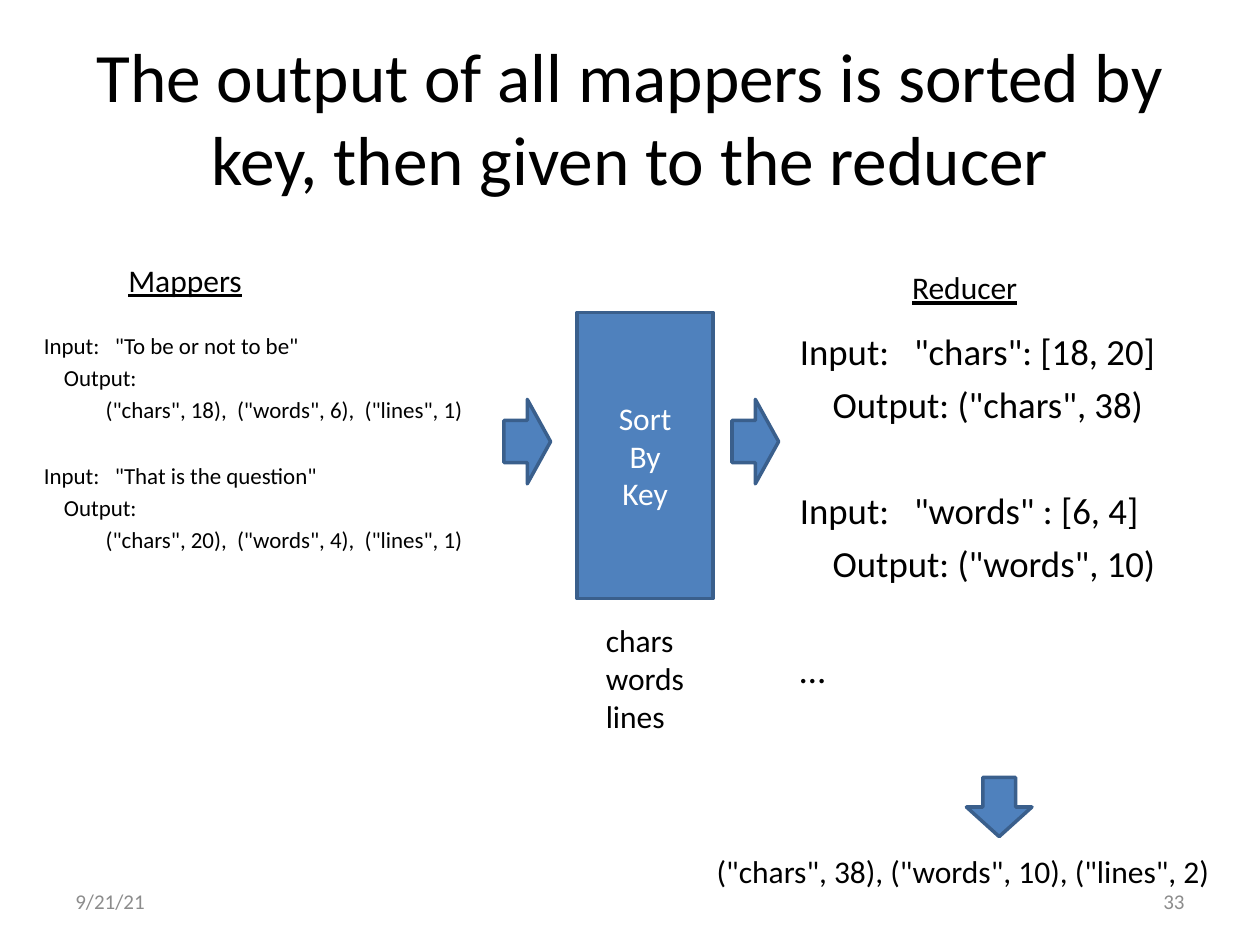
from pptx import Presentation
from pptx.dml.color import RGBColor
from pptx.enum.shapes import MSO_SHAPE as Shape
from pptx.enum.text import MSO_ANCHOR as Anchor, PP_ALIGN as Align
from pptx.util import Pt

PX = 9144  # 100 px to the inch
FONT = "Calibri"
BLACK = RGBColor(0x00, 0x00, 0x00)
WHITE = RGBColor(0xFF, 0xFF, 0xFF)
GRAY = RGBColor(0x8C, 0x8C, 0x8C)
BLUE = RGBColor(0x4F, 0x81, 0xBD)
NAVY = RGBColor(0x3A, 0x5F, 0x8C)


def emu(*vals):
    return [v * PX for v in vals]


def add_line(frame, first, text, size, color=BLACK, align=Align.LEFT, under=False):
    para = frame.paragraphs[0] if first else frame.add_paragraph()
    para.alignment = align
    run = para.add_run()
    run.text = text
    font = run.font
    font.name, font.size, font.color.rgb = FONT, Pt(size), color
    if under:
        font.underline = True
    return para


def add_text(slide, box, lines, size, wrap=True, anchor=Anchor.TOP, **style):
    frame = slide.shapes.add_textbox(*emu(*box)).text_frame
    frame.word_wrap = wrap
    frame.vertical_anchor = anchor
    return [add_line(frame, i == 0, line, size, **style)
            for i, line in enumerate(lines)]


def add_block(slide, kind, box):
    shape = slide.shapes.add_shape(kind, *emu(*box))
    shape.shadow.inherit = False
    shape.fill.solid()
    shape.fill.fore_color.rgb = BLUE
    shape.line.color.rgb = NAVY
    shape.line.width = Pt(2)
    return shape


def add_records(slide, box, rows, size, space, gap):
    """Rows are (indent, text); a new record after the first opens with a gap."""
    paras = add_text(slide, box, [text for _, text in rows], size)
    for i, (para, (indent, _)) in enumerate(zip(paras, rows)):
        para.line_spacing = space
        para.space_before = Pt(gap if i and not indent else 7.5)
        if indent:
            para._p.get_or_add_pPr().set("marL", str(indent * PX))


def add_mappers(slide, x, y):
    add_text(slide, (x + 67, y, 111, 40), ["Mappers"], 18, wrap=False, under=True)
    rows = []
    for text, counts in (
        ("To be or not to be", (18, 6, 1)),
        ("That is the question", (20, 4, 1)),
    ):
        pairs = zip(("chars", "words", "lines"), counts)
        rows += [
            (0, f'Input:   "{text}"'),
            (16, "Output:"),
            (49, ",  ".join(f'("{key}", {n})' for key, n in pairs)),
        ]
    add_records(slide, (x, y + 62, 400, 224), rows, 13.1, 0.7, 26.2)


def add_sorter(slide, x, y):
    for left in (x, x + 181):
        add_block(slide, Shape.RIGHT_ARROW, (left, y + 69, 37, 67))
    frame = add_block(slide, Shape.RECTANGLE, (x + 58, y, 108, 227)).text_frame
    frame.vertical_anchor = Anchor.MIDDLE
    for i, word in enumerate(("Sort", "By", "Key")):
        add_line(frame, i == 0, word, 18, WHITE, Align.CENTER)
    add_text(slide, (x + 71, y + 240, 83, 101), ["chars", "words", "lines"], 18, wrap=False)


def add_reducer(slide, x, y):
    add_text(slide, (x + 89, y, 105, 40), ["Reducer"], 18, wrap=False, under=True)
    rows = [
        (0, 'Input:   "chars": [18, 20]'),
        (26, 'Output: ("chars", 38)'),
        (0, 'Input:   "words" : [6, 4]'),
        (26, 'Output: ("words", 10)'),
        (0, "…"),
    ]
    add_records(slide, (x, y + 52, 365, 350), rows, 21, 0.9, 38.1)
    add_block(slide, Shape.DOWN_ARROW, (x + 142, y + 409, 52, 47))
    total = '("chars", 38), ("words", 10), ("lines", 2)'
    add_text(slide, (x - 66, y + 463, 416, 40), [total], 18, wrap=False)


def add_footer(slide, x, y, width):
    style = dict(anchor=Anchor.MIDDLE, color=GRAY)
    add_text(slide, (x, y, 233, 40), ["9/21/21"], 12, **style)
    add_text(slide, (x + width - 233, y, 233, 40), ["33"], 12, align=Align.RIGHT, **style)


def main():
    deck = Presentation()
    deck.slide_width, deck.slide_height = emu(1000, 750)
    slide = deck.slides.add_slide(deck.slide_layouts[6])
    title = "The output of all mappers is sorted by key, then given to the reducer"
    add_text(slide, (50, 30, 900, 125), [title], 39.6,
             anchor=Anchor.MIDDLE, align=Align.CENTER)
    add_mappers(slide, 25, 202)
    add_sorter(slide, 400, 248)
    add_reducer(slide, 625, 208)
    add_footer(slide, 50, 695, 900)
    deck.save("out.pptx")


if __name__ == "__main__":
    main()
